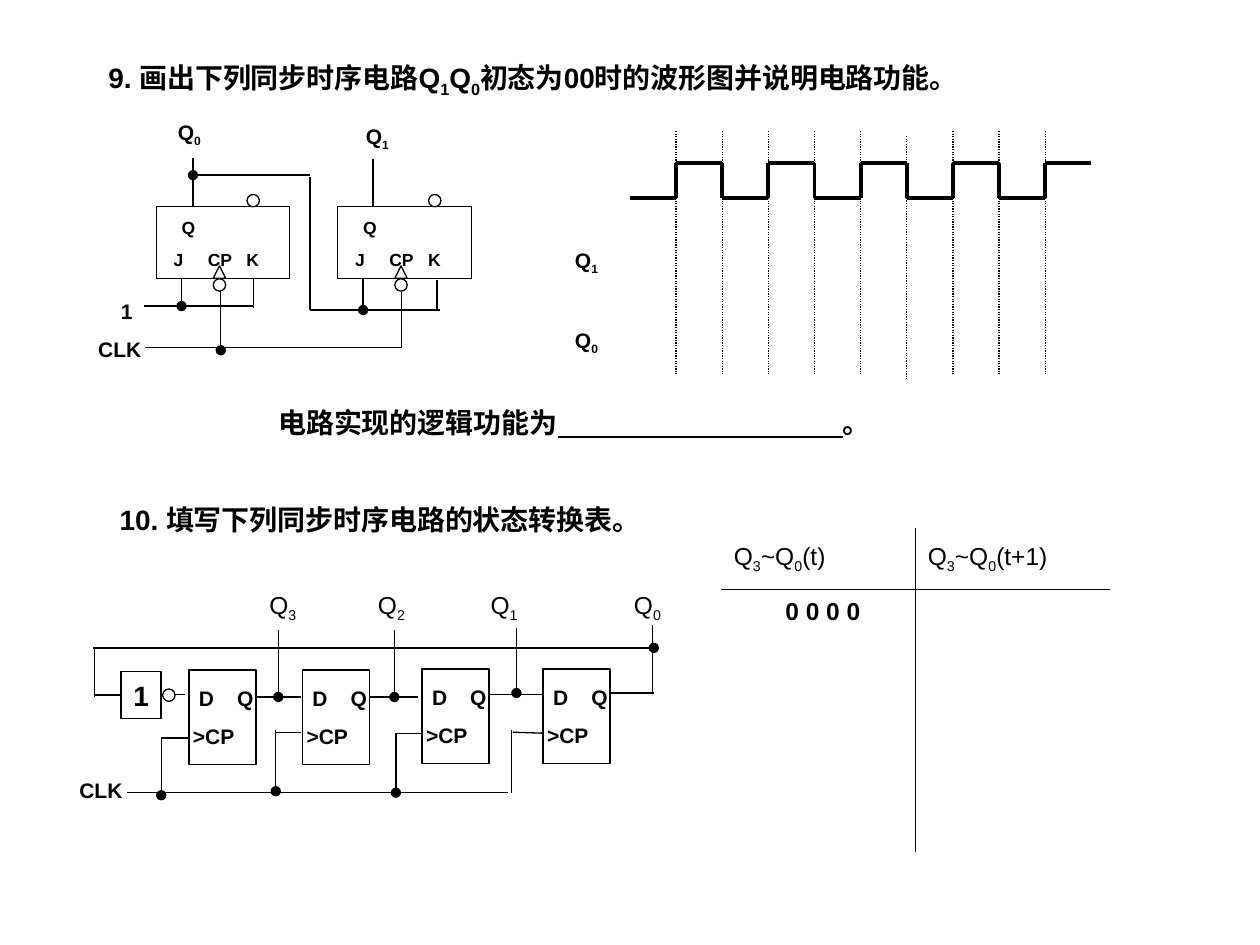
from dataclasses import dataclass

from lxml import etree
from pptx import Presentation
from pptx.dml.color import RGBColor
from pptx.enum.dml import MSO_LINE
from pptx.enum.shapes import MSO_CONNECTOR, MSO_SHAPE
from pptx.enum.text import MSO_ANCHOR, MSO_AUTO_SIZE, PP_ALIGN
from pptx.oxml.ns import qn
from pptx.util import Cm, Pt

STRAIGHT = MSO_CONNECTOR.STRAIGHT
RECTANGLE, OVAL, TRIANGLE = MSO_SHAPE.RECTANGLE, MSO_SHAPE.OVAL, MSO_SHAPE.ISOSCELES_TRIANGLE
LEFT, CENTER = PP_ALIGN.LEFT, PP_ALIGN.CENTER
DOTTED = MSO_LINE.ROUND_DOT
HEAD, TAIL = "a:headEnd", "a:tailEnd"
BLACK, WHITE = "000000", "FFFFFF"
FONT = "Arial"
BUBBLE = 0.25


@dataclass
class Wire:
    x1: float
    y1: float
    x2: float
    y2: float
    dot: str = ""
    width: float = 0.75
    dash: MSO_LINE | None = None


@dataclass
class Label:
    left: float
    top: float
    width: float
    height: float
    lines: tuple[str, ...]
    size: float = 12
    bold: bool = True
    align: PP_ALIGN = LEFT
    gap: float = 7.5
    tabs: tuple[float, ...] = ()


def color(value: str) -> RGBColor:
    return RGBColor.from_string(value)


def write_line(paragraph, text: str, size: float, bold: bool = True, align=LEFT, tabs=()) -> None:
    """Write one paragraph; the character after each underscore is a subscript."""
    paragraph.alignment = align
    if tabs:
        stops = etree.SubElement(paragraph._p.get_or_add_pPr(), qn("a:tabLst"))
        for position in tabs:
            etree.SubElement(stops, qn("a:tab"), pos=str(Cm(position)), algn="l")
    font = paragraph.font
    font.name, font.size, font.bold = FONT, Pt(size), bold
    font.color.rgb = color(BLACK)
    first, *others = text.split("_")
    paragraph.add_run().text = first
    for part in others:
        subscript = paragraph.add_run()
        subscript.text = part[0]
        subscript._r.get_or_add_rPr().set("baseline", "-25000")
        if part[1:]:
            paragraph.add_run().text = part[1:]


def add_label(slide, label: Label) -> None:
    box = slide.shapes.add_textbox(Cm(label.left), Cm(label.top), Cm(label.width), Cm(label.height))
    frame = box.text_frame
    frame.word_wrap = True
    for index, text in enumerate(label.lines):
        paragraph = frame.add_paragraph() if index else frame.paragraphs[0]
        if index:
            paragraph.space_before = Pt(label.gap)
        write_line(paragraph, text, label.size, label.bold, label.align, label.tabs)


def add_outline(slide, kind: MSO_SHAPE, left: float, top: float, width: float = BUBBLE, height: float = BUBBLE):
    shape = slide.shapes.add_shape(kind, Cm(left), Cm(top), Cm(width), Cm(height))
    shape.shadow.inherit = False
    shape.fill.solid()
    shape.fill.fore_color.rgb = color(WHITE)
    shape.line.color.rgb = color(BLACK)
    shape.line.width = Pt(0.75)
    return shape


def add_wire(slide, wire: Wire):
    connector = slide.shapes.add_connector(STRAIGHT, Cm(wire.x1), Cm(wire.y1), Cm(wire.x2), Cm(wire.y2))
    connector.line.color.rgb = color(BLACK)
    connector.line.width = Pt(wire.width)
    if wire.dash:
        connector.line.dash_style = wire.dash
    if wire.dot:
        etree.SubElement(connector.line._get_or_add_ln(), qn(wire.dot), type="oval")
    etree.SubElement(connector._element.spPr, qn("a:effectLst"))
    return connector


def add_jk_flip_flop(slide, left: float, top: float) -> None:
    """The first tab stop indents Q and lies within the width of J, so J skips it."""
    add_outline(slide, RECTANGLE, left, top, 2.69, 1.45)
    add_label(slide, Label(left + 0.1, top + 0.08, 2.34, 1.32, ("\tQ", "J\tCP\tK"),
                           size=10, gap=6.2, tabs=(0.16, 0.69, 1.47)))
    add_outline(slide, TRIANGLE, left + 1.15, top + 1.19)
    add_outline(slide, OVAL, left + 1.15, top + 1.45)
    add_outline(slide, OVAL, left + 1.83, top - BUBBLE)


def add_d_flip_flop(slide, left: float, top: float) -> None:
    add_outline(slide, RECTANGLE, left, top, 1.35, 1.9)
    add_label(slide, Label(left - 0.17, top + 0.18, 2.06, 1.55, ("\tD\tQ", ">CP"), tabs=(0.12, 0.89)))


def add_inverter(slide) -> None:
    box = add_outline(slide, RECTANGLE, 2.44, 13.54, 0.81, 0.94)
    box.text_frame.word_wrap = False
    box.text_frame.vertical_anchor = MSO_ANCHOR.MIDDLE
    write_line(box.text_frame.paragraphs[0], "1", 16, align=CENTER)
    add_outline(slide, OVAL, 3.28, 13.89)
    add_wire(slide, Wire(1.9, 14.01, 2.44, 14.01)).end_connect(box, 1)


def add_clock_waveform(slide) -> None:
    start, step, high, low = 12.7, 0.93, 3.28, 3.99
    for index in range(10):
        x = start + index * step
        level = high if index % 2 else low
        add_wire(slide, Wire(x, level, x + step, level, width=2.25))
        if index:
            add_wire(slide, Wire(x, high, x, low, width=2.25))
            drop = 0.1 if index == 6 else 0
            add_wire(slide, Wire(x, 2.64 + drop, x, 7.54 + drop, dash=DOTTED))


def add_state_table(slide) -> None:
    table = slide.shapes.add_table(2, 2, Cm(14.54), Cm(10.66), Cm(7.82), Cm(6.53)).table
    table.first_row = table.horz_banding = False
    table.rows[0].height, table.rows[1].height = Cm(1.22), Cm(5.31)
    for row in range(2):
        for column in range(2):
            cell = table.cell(row, column)
            cell.vertical_anchor = MSO_ANCHOR.MIDDLE
            for side in ("a:lnL" if column else "a:lnR", "a:lnT" if row else "a:lnB"):
                border = etree.SubElement(cell._tc.get_or_add_tcPr(), qn(side), w=str(Pt(0.45)))
                fill = etree.SubElement(border, qn("a:solidFill"))
                etree.SubElement(fill, qn("a:srgbClr"), val=BLACK)
            cell.fill.background()
    for column, moment in enumerate(("t", "t+1")):
        write_line(table.cell(0, column).text_frame.paragraphs[0], f"Q_3~Q_0({moment})", 14, bold=False)


def set_title(slide) -> None:
    title = slide.shapes.title
    title.left, title.top, title.width, title.height = Cm(1.93), Cm(1.09), Cm(20.88), Cm(1.04)
    title.text_frame.auto_size = MSO_AUTO_SIZE.NONE
    title.text_frame.vertical_anchor = MSO_ANCHOR.TOP
    write_line(title.text_frame.paragraphs[0], "9. 画出下列同步时序电路Q_1Q_0初态为00时的波形图并说明电路功能。", 16)


JK_WIRES = (
    Wire(3.66, 5.61, 3.66, 6.17, TAIL), Wire(5.11, 5.61, 5.11, 6.2), Wire(5.11, 6.17, 2.9, 6.17),
    Wire(3.89, 4.17, 3.89, 3.18), Wire(7.52, 4.17, 7.52, 3.2), Wire(3.89, 3.53, 6.25, 3.53, HEAD),
    Wire(6.25, 3.56, 6.25, 6.25), Wire(6.25, 6.25, 8.86, 6.25), Wire(7.32, 5.61, 7.32, 6.25, TAIL),
    Wire(8.81, 5.64, 8.81, 6.27), Wire(2.92, 7.01, 8.08, 7.01), Wire(8.1, 5.89, 8.1, 7.01),
    Wire(4.45, 5.87, 4.45, 7.06, TAIL),
)
D_WIRES = (
    Wire(5.16, 14.05, 6.07, 14.05), Wire(7.44, 14.05, 8.43, 14.05), Wire(9.88, 14, 10.97, 14),
    Wire(5.61, 14.05, 5.61, 12.7, HEAD), Wire(7.95, 14.05, 7.95, 12.7, HEAD),
    Wire(10.41, 13.97, 10.41, 12.65, HEAD), Wire(13.18, 13.06, 1.88, 13.06, HEAD),
    Wire(12.27, 13.97, 13.18, 13.97), Wire(13.16, 13.97, 13.16, 12.6),
    Wire(3.51, 14, 3.73, 14), Wire(1.9, 13.06, 1.9, 14.05),
    Wire(2.57, 15.98, 10.24, 15.98), Wire(10.31, 15.98, 10.31, 14.71), Wire(10.34, 14.76, 10.95, 14.78),
    Wire(7.98, 14.78, 7.98, 15.98, TAIL), Wire(8, 14.78, 8.53, 14.78),
    Wire(5.56, 14.71, 5.56, 15.95, TAIL), Wire(5.56, 14.76, 6.07, 14.76),
    Wire(3.25, 14.86, 3.25, 16.03, TAIL), Wire(3.25, 14.88, 3.84, 14.88),
)
ANSWER_BLANK = Wire(11.25, 8.81, 17, 8.81)
LABELS = (
    Label(3.2, 2.29, 1.24, 0.84, ("Q_0",), align=CENTER),
    Label(6.99, 2.36, 1.24, 0.84, ("Q_1",), align=CENTER),
    Label(1.73, 5.89, 1.47, 1.55, ("\t1", "CLK"), tabs=(0.46,)),
    Label(11.28, 4.86, 1.09, 2.46, ("Q_1", "Q_0"), align=CENTER, gap=29.5),
    Label(5.36, 8.05, 13.7, 0.94, ("电路实现的逻辑功能为\t。",), size=16, tabs=(11.38,)),
    Label(2.16, 10.01, 12.07, 0.94, ("10. 填写下列同步时序电路的状态转换表。",), size=16),
    Label(5.18, 11.76, 9.09, 0.94, ("Q_3\tQ_2\tQ_1\tQ_0",), size=14, bold=False, tabs=(2.19, 4.46, 7.35)),
    Label(1.35, 15.54, 1.45, 0.76, ("CLK",)),
)


def main() -> None:
    presentation = Presentation()
    presentation.slide_width, presentation.slide_height = Cm(25.4), Cm(19.05)
    slide = presentation.slides.add_slide(presentation.slide_layouts[5])
    set_title(slide)
    for left in (3.15, 6.81):
        add_jk_flip_flop(slide, left, 4.17)
    for left, top in ((3.81, 13.51), (6.1, 13.51), (8.51, 13.49), (10.95, 13.49)):
        add_d_flip_flop(slide, left, top)
    add_inverter(slide)
    for wire in (*JK_WIRES, *D_WIRES, ANSWER_BLANK):
        add_wire(slide, wire)
    add_clock_waveform(slide)
    for label in LABELS:
        add_label(slide, label)
    add_state_table(slide)
    add_label(slide, Label(15.42, 11.89, 2.34, 0.86, ("0 0 0 0",), size=14, align=CENTER))
    presentation.save("out.pptx")


if __name__ == "__main__":
    main()
